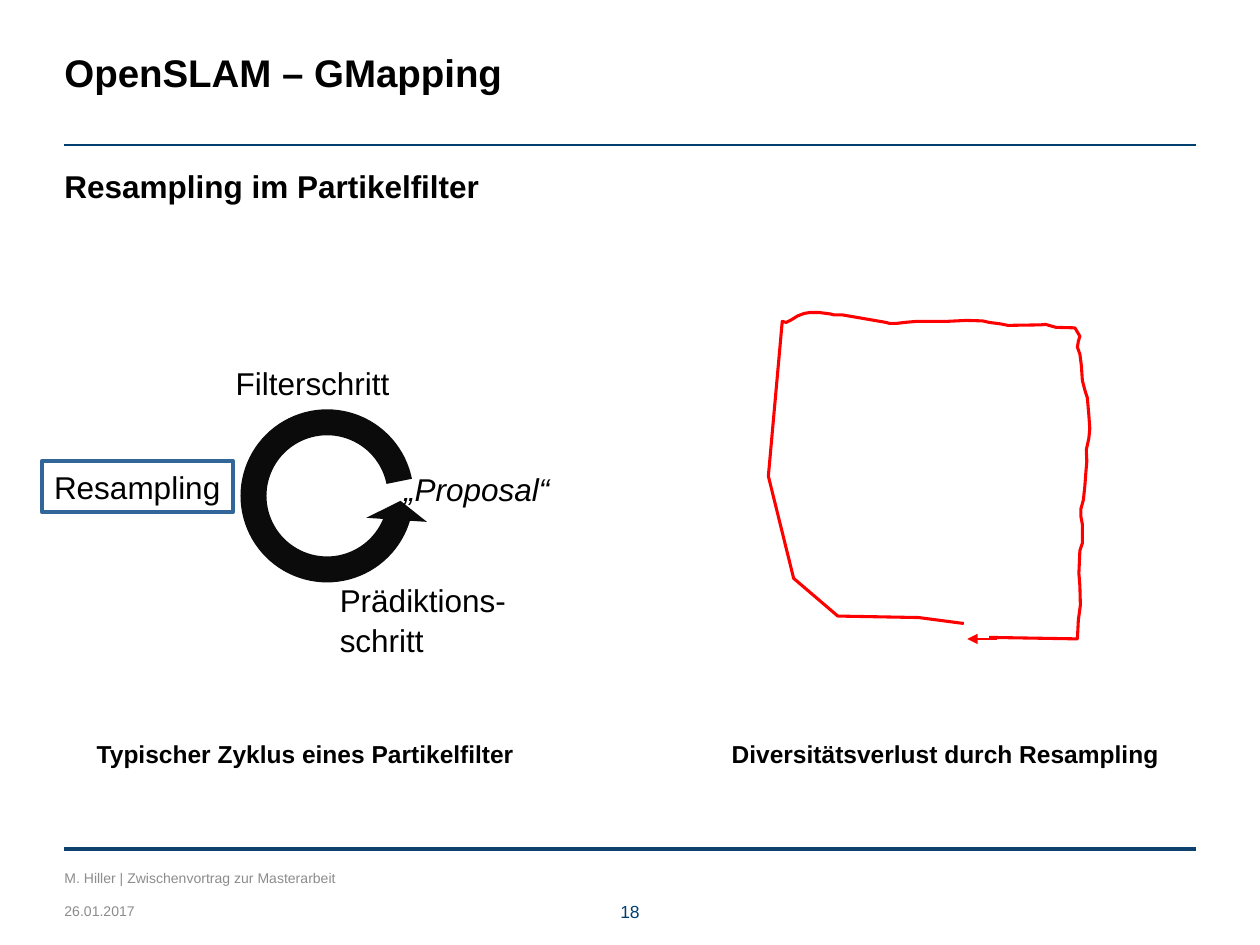
from lxml import etree
from pptx import Presentation
from pptx.dml.color import RGBColor
from pptx.enum.shapes import MSO_CONNECTOR, MSO_SHAPE
from pptx.enum.text import MSO_ANCHOR, PP_ALIGN
from pptx.oxml.ns import qn
from pptx.util import Cm, Pt

STRAIGHT = MSO_CONNECTOR.STRAIGHT
RECTANGLE = MSO_SHAPE.RECTANGLE
CIRCULAR_ARROW = MSO_SHAPE.CIRCULAR_ARROW
TOP = MSO_ANCHOR.TOP
LEFT, CENTER = PP_ALIGN.LEFT, PP_ALIGN.CENTER

FONT = "Arial"
BLACK = RGBColor(0x00, 0x00, 0x00)
CYCLE_BLACK = RGBColor(0x0B, 0x0B, 0x0B)
GRAY = RGBColor(0x8C, 0x8C, 0x8C)
NAVY = RGBColor(0x00, 0x40, 0x6F)
FOOTER_BLUE = RGBColor(0x0F, 0x41, 0x6E)
FRAME_BLUE = RGBColor(0x32, 0x65, 0x98)
RED = RGBColor(0xFF, 0x00, 0x00)

MARGIN = 1.3
CONTENT_WIDTH = 22.8
LABEL_INSETS = (0.25, 0.13)

# Robot trajectory, in centimetres on the slide
TRAJECTORY = [
    (19.43, 12.57), (18.52, 12.45), (16.89, 12.42), (16, 11.66), (15.49, 9.6),
    (15.77, 6.48), (15.85, 6.5), (15.95, 6.45), (16.08, 6.37), (16.21, 6.32),
    (16.33, 6.3), (16.51, 6.3), (16.74, 6.33), (16.82, 6.35), (16.99, 6.35),
    (17.86, 6.5), (17.93, 6.52), (18.08, 6.52), (18.24, 6.5), (18.47, 6.48),
    (19.08, 6.48), (19.48, 6.46), (19.81, 6.47), (19.94, 6.5), (20.17, 6.53),
    (20.32, 6.56), (20.98, 6.55), (21.08, 6.54), (21.18, 6.57), (21.29, 6.6),
    (21.67, 6.61), (21.77, 6.78), (21.74, 6.88), (21.72, 7), (21.77, 7.14),
    (21.8, 7.37), (21.82, 7.67), (21.88, 7.9), (21.92, 8.02), (21.95, 8.36),
    (21.97, 8.64), (21.95, 8.84), (21.9, 9.07), (21.91, 9.3), (21.89, 9.53),
    (21.87, 9.8), (21.84, 10.08), (21.79, 10.26), (21.79, 10.41),
    (21.82, 10.57), (21.82, 10.95), (21.77, 11.1), (21.75, 11.56),
    (21.77, 11.81), (21.78, 12.2), (21.74, 12.5), (21.72, 12.88),
    (19.94, 12.85),
]


def write(frame, text, size, color=BLACK, bold=False, italic=False,
          insets=(0, 0), align=LEFT, space_after=0, spacing=1.06):
    frame.word_wrap = True
    frame.vertical_anchor = TOP
    frame.margin_left = frame.margin_right = Cm(insets[0])
    frame.margin_top = frame.margin_bottom = Cm(insets[1])
    paragraph = frame.paragraphs[0]
    paragraph.alignment = align
    paragraph.line_spacing = spacing
    paragraph.space_before = Pt(0)
    paragraph.space_after = Pt(space_after)
    run = paragraph.add_run()
    run.text = text
    run.font.name = FONT
    run.font.size = Pt(size)
    run.font.bold = bold
    run.font.italic = italic
    run.font.color.rgb = color


def add_text(slide, box, text, size, **style):
    textbox = slide.shapes.add_textbox(*map(Cm, box))
    write(textbox.text_frame, text, size, **style)


def add_label(slide, box, text, size=18, **style):
    add_text(slide, box, text, size, insets=LABEL_INSETS, space_after=9, **style)


def fill_placeholder(placeholder, box, text, size, **style):
    placeholder.left, placeholder.top, placeholder.width, placeholder.height = map(Cm, box)
    write(placeholder.text_frame, text, size, bold=True, **style)


def remove_bullet(paragraph):
    properties = paragraph._p.get_or_add_pPr()
    properties.set("marL", "0")
    properties.set("indent", "0")
    etree.SubElement(properties, qn("a:buNone"))


def add_line(slide, start, end, color, width, arrow=False):
    line = slide.shapes.add_connector(STRAIGHT, *map(Cm, start + end))
    line.line.color.rgb = color
    line.line.width = Pt(width)
    if arrow:
        etree.SubElement(line.line._get_or_add_ln(), qn("a:tailEnd"), type="triangle")
    etree.SubElement(line._element.spPr, qn("a:effectLst"))


def add_cycle_arrow(slide, box):
    """Draw the loop counter-clockwise, with its opening on the right."""
    cycle = slide.shapes.add_shape(CIRCULAR_ARROW, *map(Cm, box))
    for index, value in enumerate((0.125, 9.1, 204.58, 6.82, 0.146)):
        cycle.adjustments[index] = value
    cycle.rotation = 180
    cycle._element.spPr.find(qn("a:xfrm")).set("flipH", "1")
    cycle.shadow.inherit = False
    cycle.fill.solid()
    cycle.fill.fore_color.rgb = CYCLE_BLACK
    cycle.line.fill.background()


def outline(shape, color, width):
    shape.shadow.inherit = False
    shape.fill.background()
    shape.line.color.rgb = color
    shape.line.width = Pt(width)


def add_trajectory(slide):
    points = [(Cm(x), Cm(y)) for x, y in TRAJECTORY]
    builder = slide.shapes.build_freeform(*points[0])
    builder.add_line_segments(points[1:], close=False)
    outline(builder.convert_to_shape(), RED, 1.75)
    add_line(slide, (20.09, 12.88), (19.5, 12.88), RED, 1.5, arrow=True)


def add_filter_cycle(slide):
    add_cycle_arrow(slide, (4.5, 7.9, 4.19, 4.19))
    add_label(slide, (7.9, 9.3, 3.63, 1.02), "„Proposal“", italic=True)
    add_label(slide, (4.5, 7.16, 4.01, 1.02), "Filterschritt")
    add_label(slide, (0.84, 9.27, 3.86, 1.02), "Resampling")
    add_label(slide, (6.6, 11.53, 3.86, 1.8), "Prädiktions-schritt")
    frame = slide.shapes.add_shape(RECTANGLE, *map(Cm, (0.84, 9.3, 3.86, 1.02)))
    outline(frame, FRAME_BLUE, 2.25)


def add_footer(slide):
    right = MARGIN + CONTENT_WIDTH
    add_line(slide, (MARGIN, 17.12), (right, 17.12), FOOTER_BLUE, 2.5)
    add_text(slide, (12.1, 18.14, 1.2, 0.43), "18", 10, color=NAVY, align=CENTER)
    add_text(slide, (MARGIN, 18.19, 5.92, 0.33), "26.01.2017", 8,
             color=GRAY, spacing=1)
    add_text(slide, (MARGIN, 17.53, 8.05, 0.33),
             "M. Hiller | Zwischenvortrag zur Masterarbeit", 8,
             color=GRAY, spacing=1)


def main():
    presentation = Presentation()
    presentation.slide_width, presentation.slide_height = Cm(25.4), Cm(19.05)
    slide = presentation.slides.add_slide(presentation.slide_layouts[1])
    title, body = slide.placeholders

    add_footer(slide)
    add_line(slide, (MARGIN, 2.92), (MARGIN + CONTENT_WIDTH, 2.92), NAVY, 1)
    fill_placeholder(title, (MARGIN, 0.94, CONTENT_WIDTH, 0.94),
                     "OpenSLAM – GMapping", 22)
    remove_bullet(body.text_frame.paragraphs[0])
    fill_placeholder(body, (MARGIN, 3.33, CONTENT_WIDTH, 12.6),
                     "Resampling im Partikelfilter", 18, space_after=9)

    add_filter_cycle(slide)
    add_label(slide, (1.7, 14.73, 9.83, 0.86),
              "Typischer Zyklus eines Partikelfilter", 14, bold=True)
    add_trajectory(slide)
    add_label(slide, (14.5, 14.73, 9.58, 0.86),
              "Diversitätsverlust durch Resampling", 14, bold=True)
    presentation.save("out.pptx")


if __name__ == "__main__":
    main()
